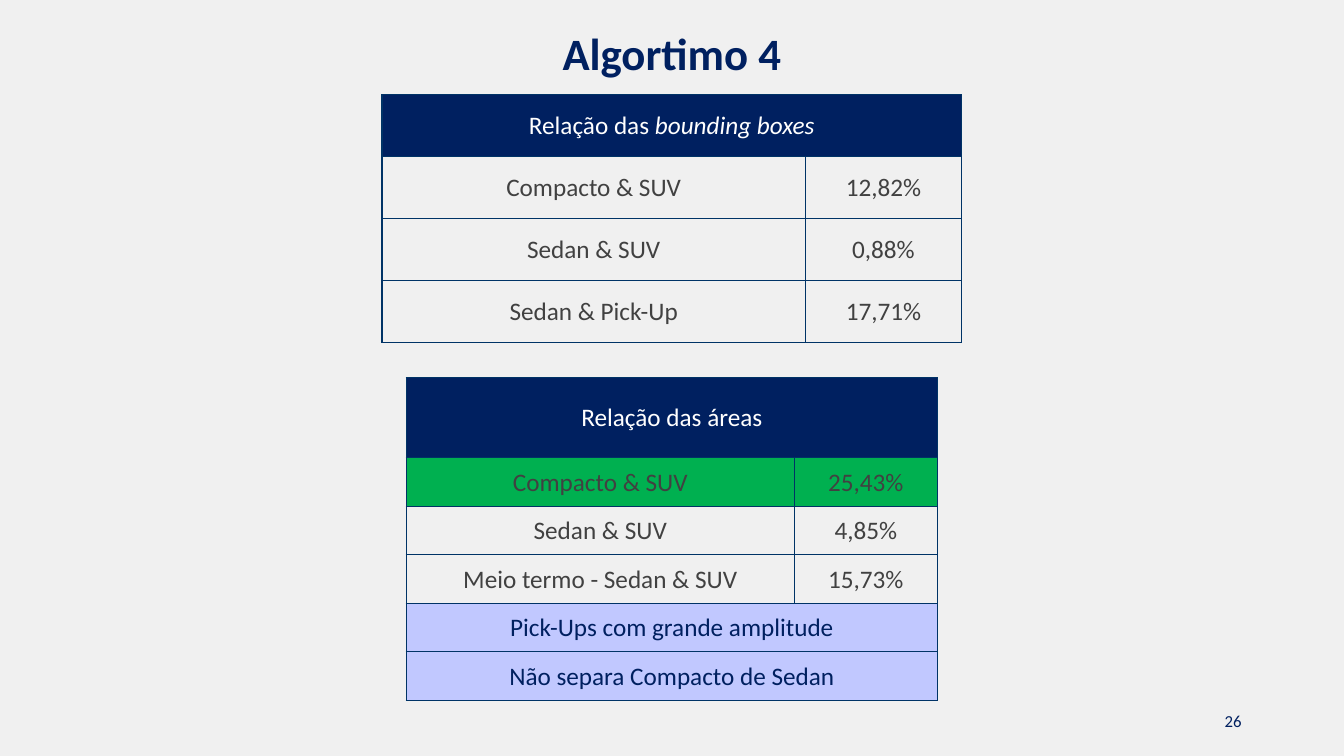
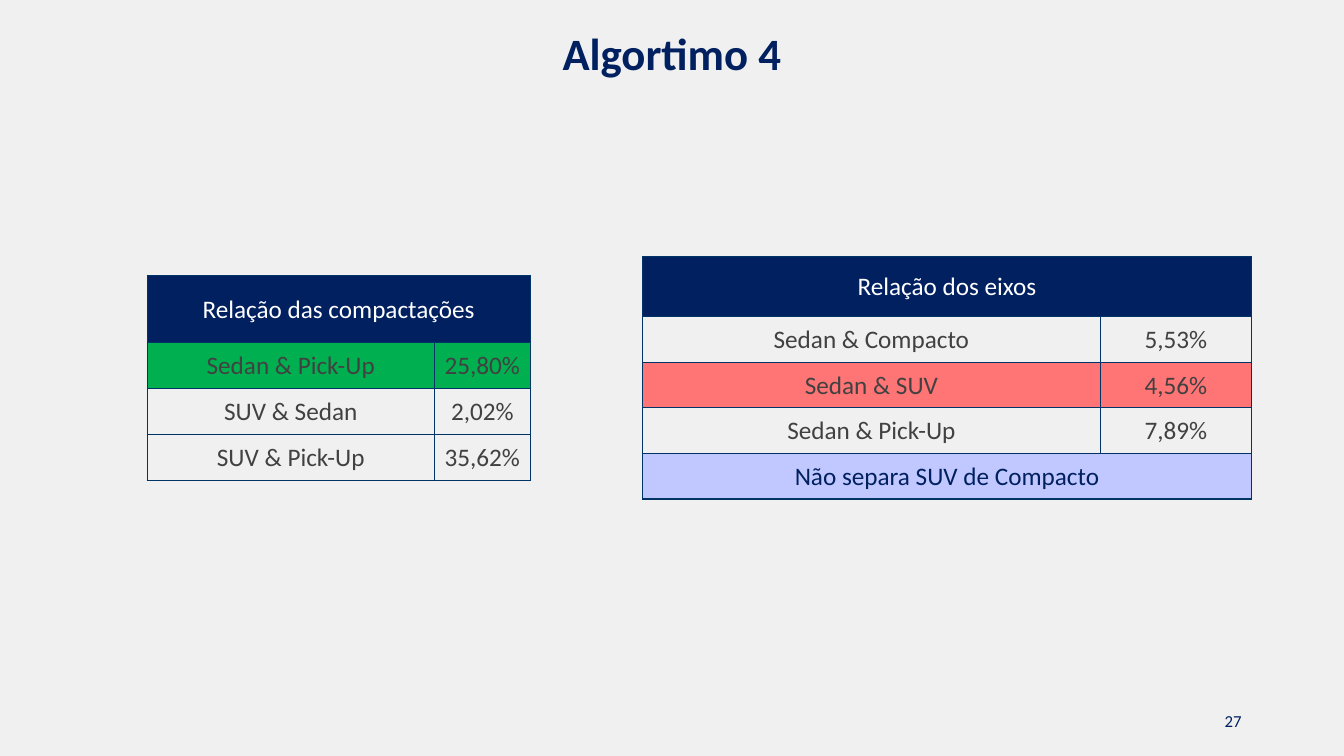
from lxml import etree
from pptx import Presentation
from pptx import util as u
from pptx.dml import color
from pptx.enum import text
from pptx.oxml import ns

NAVY, GRID, PAGE = "002060", "003366", "F0F0F0"
GRAY, WHITE, LILAC = "414141", "FFFFFF", "C1C8FF"
GREEN, RED = "00B050", "FF7575"
MID = text.PP_ALIGN.CENTER
RIGHT = text.PP_ALIGN.RIGHT
ANCHOR = text.MSO_ANCHOR


def paint(fill, tone):
    if tone:
        fill.solid()
        fill.fore_color.rgb = color.RGBColor.from_string(tone)
    else:
        fill.background()


def apply(item, form):
    for key, val in form.items():
        setattr(item, key, val)


class Deck:
    font = {"name": "Calibri"}
    cell = {
        "vertical_anchor": ANCHOR.MIDDLE,
        "margin_left": u.Pt(0.7),
        "margin_right": u.Pt(0.7),
        "margin_top": u.Pt(0.7),
        "margin_bottom": 0,
    }

    def __init__(self):
        self.prs = Presentation()
        apply(self.prs, {"slide_width": u.Pt(960), "slide_height": u.Pt(540)})

    def page(self, title, num):
        self.slide = self.prs.slides.add_slide(self.prs.slide_layouts[6])
        paint(self.slide.background.fill, PAGE)
        self.label(str(num), (678, 500.4, 216, 28.8), RIGHT, {"size": u.Pt(12)},
                   {"vertical_anchor": ANCHOR.MIDDLE})
        self.label(title, (84, 15.1, 792, 46), MID, {"size": u.Pt(32), "bold": True},
                   {"auto_size": text.MSO_AUTO_SIZE.SHAPE_TO_FIT_TEXT})

    def label(self, words, area, side, form, frame):
        box = self.slide.shapes.add_textbox(*map(u.Pt, area)).text_frame
        apply(box, {"word_wrap": True, **frame})
        self.typeset(box, [(words, form)], side, NAVY)

    def typeset(self, frame, runs, side, tone):
        par = frame.paragraphs[0]
        par.alignment = side
        for words, form in runs:
            run = par.add_run()
            run.text = words
            apply(run.font, {**self.font, **form})
            paint(run.font.fill, tone)

    def border(self, cell):
        props = cell._tc.get_or_add_tcPr()
        for spot, side in enumerate(("lnL", "lnR", "lnT", "lnB")):
            line = etree.Element(ns.qn("a:" + side), w=str(u.Pt(1)))
            fill = etree.SubElement(line, ns.qn("a:solidFill"))
            etree.SubElement(fill, ns.qn("a:srgbClr"), val=GRID)
            props.insert(spot, line)

    def table(self, left, top, cols, head, step, title, rows):
        rows = [(title, None, NAVY, WHITE)] + rows
        tall = [head] + [step] * (len(rows) - 1)
        area = map(u.Pt, (left, top, sum(cols), sum(tall)))
        grid = self.slide.shapes.add_table(len(rows), len(cols), *area).table
        apply(grid, {"first_row": False, "horz_banding": False})
        for col, wide in zip(grid.columns, cols):
            col.width = u.Pt(wide)
        for at, (name, rate, back, tone) in enumerate(rows):
            grid.rows[at].height = u.Pt(tall[at])
            pair = [grid.cell(at, 0), grid.cell(at, 1)]
            if rate is None:
                pair[0].merge(pair[1])
            for cell, words in zip(pair, (name, rate)):
                apply(cell, self.cell)
                paint(cell.fill, back)
                self.border(cell)
                if words:
                    runs = [(words, {})] if isinstance(words, str) else words
                    runs = [(part, {"size": u.Pt(18), **form}) for part, form in runs]
                    self.typeset(cell.text_frame, runs, MID, tone)


def row(name, rate, back=None):
    return name, rate, back, GRAY


def note(words):
    return words, None, LILAC, NAVY


def main():
    deck = Deck()
    deck.page("Algortimo 4", 26)
    deck.table(272.9, 67.7, (302.4, 111.6), 44.3, 44.3,
               [("Relação das ", {}), ("bounding boxes", {"italic": True})], [
                   row("Compacto & SUV", "12,82%"),
                   row("Sedan & SUV", "0,88%"),
                   row("Sedan & Pick-Up", "17,71%"),
               ])
    deck.table(290.2, 269.8, (277.2, 102.2), 57.2, 34.65, "Relação das áreas", [
        row("Compacto & SUV", "25,43%", GREEN),
        row("Sedan & SUV", "4,85%"),
        row("Meio termo - Sedan & SUV", "15,73%"),
        note("Pick-Ups com grande amplitude"),
        note("Não separa Compacto de Sedan"),
    ])

    deck.page("Algortimo 4", 27)
    deck.table(105.1, 196.8, (205.2, 68.4), 48, 32.8, "Relação das compactações", [
        row("Sedan & Pick-Up", "25,80%", GREEN),
        row("SUV & Sedan", "2,02%"),
        row("SUV & Pick-Up", "35,62%"),
    ])
    deck.table(459, 183.4, (326.9, 108), 42.7, 32.6, "Relação dos eixos", [
        row("Sedan & Compacto", "5,53%"),
        row("Sedan & SUV", "4,56%", RED),
        row("Sedan & Pick-Up", "7,89%"),
        note("Não separa SUV de Compacto"),
    ])
    deck.prs.save("out.pptx")


if __name__ == "__main__":
    main()
